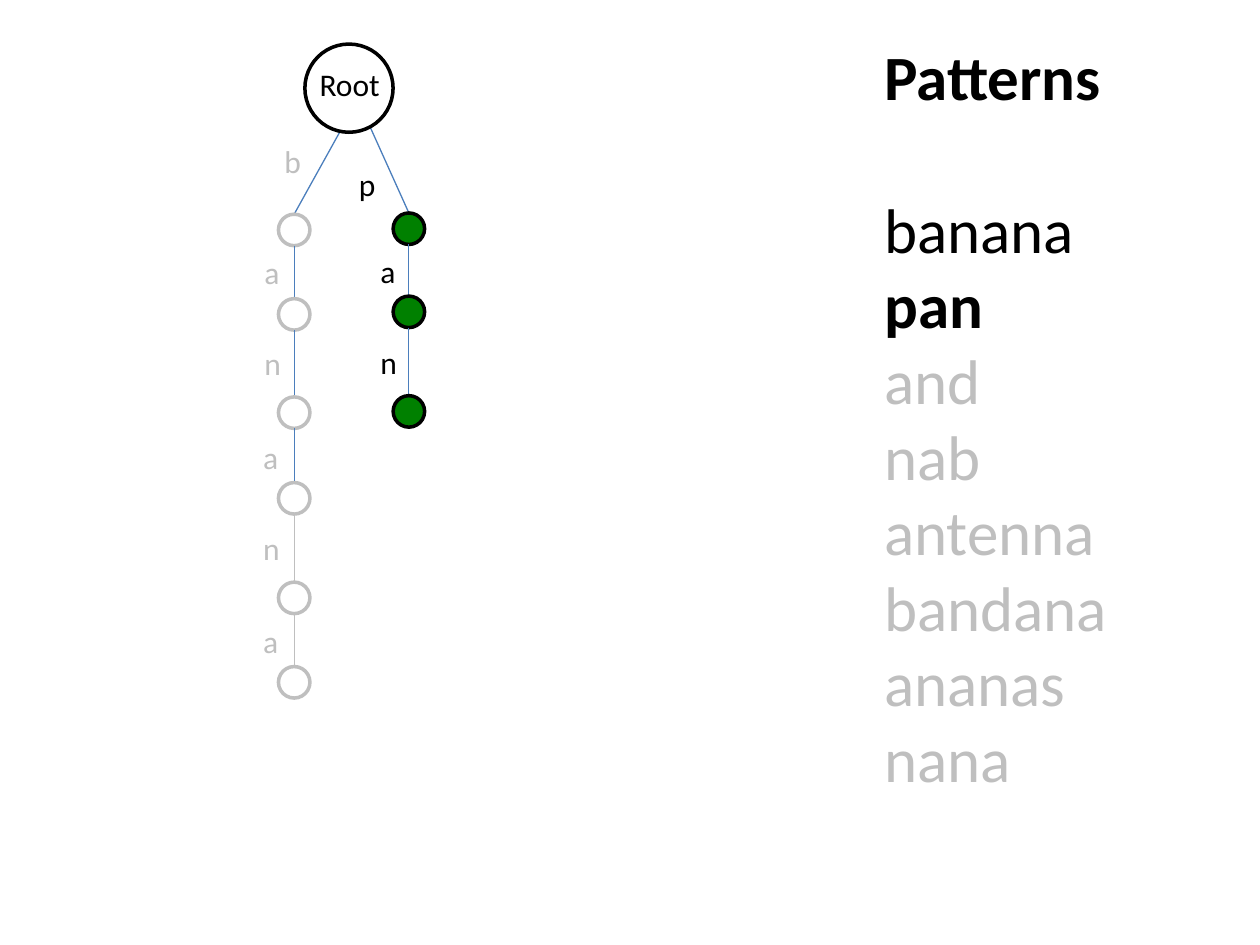
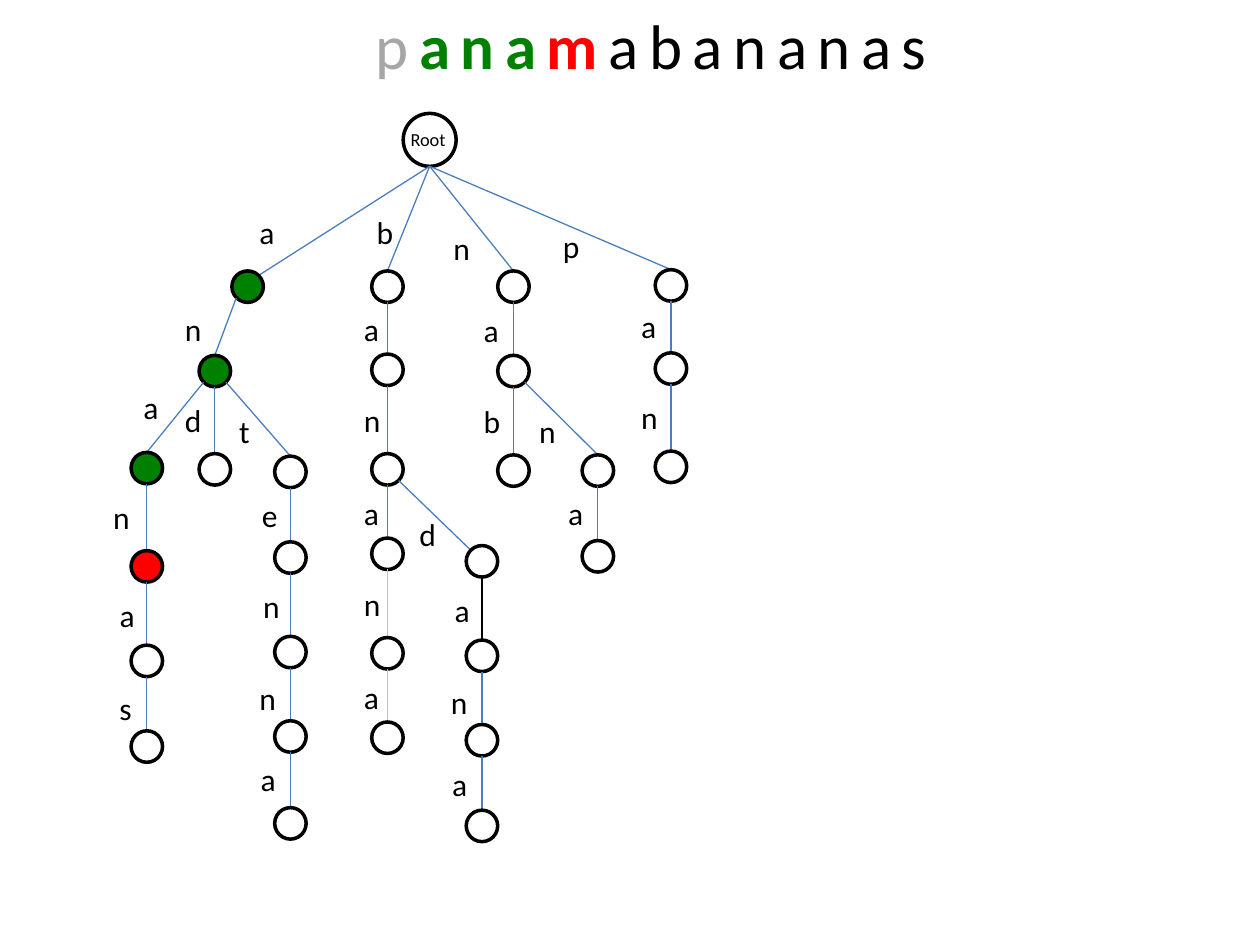
from typing import NamedTuple
from lxml.etree import SubElement
from pptx import Presentation
from pptx.dml.color import RGBColor
from pptx.enum.shapes import MSO_CONNECTOR, MSO_SHAPE
from pptx.enum.text import MSO_AUTO_SIZE, PP_ALIGN
from pptx.oxml.ns import qn
from pptx.util import Inches, Pt

FONT = "Calibri"
BLACK, WHITE, GREY, FADED = "000000", "FFFFFF", "BFBFBF", "A6A6A6"
BLUE, GREEN, RED = "4B7EBC", "008000", "FF0000"
NODE = 0.25
WIDTHS = {"a": 0.32, "e": 0.33, "s": 0.3, "t": 0.29}


class Step(NamedTuple):
    letter: str
    top: float
    label_x: float
    label_y: float
    fill: str = WHITE
    wire: str = BLUE


def tint(code):
    return RGBColor.from_string(code)


def circle(slide, x, y, size=NODE, fill=WHITE, ink=BLACK):
    shape = slide.shapes.add_shape(
        MSO_SHAPE.OVAL, Inches(x), Inches(y), Inches(size), Inches(size))
    shape.shadow.inherit = False
    shape.fill.solid()
    shape.fill.fore_color.rgb = tint(fill)
    shape.line.color.rgb = tint(ink)
    shape.line.width = Pt(2)


def edge(slide, start, end, color):
    points = [Inches(v) for v in (*start, *end)]
    line = slide.shapes.add_connector(MSO_CONNECTOR.STRAIGHT, *points)
    line.line.color.rgb = tint(color)
    line.line.width = Pt(0.75)
    SubElement(line._element.spPr, qn("a:effectLst"))


def frame(slide, x, y, width, height, wrap=True):
    box = slide.shapes.add_textbox(
        Inches(x), Inches(y), Inches(width), Inches(height))
    text = box.text_frame
    text.word_wrap = wrap
    text.auto_size = MSO_AUTO_SIZE.SHAPE_TO_FIT_TEXT
    return text


def write(para, words, size=18, color=BLACK, bold=False):
    run = para.add_run()
    run.text = words
    run.font.name = FONT
    run.font.size = Pt(size)
    run.font.bold = bold
    run.font.color.rgb = tint(color)
    return run


def corner(x, y, side, down=1):
    mid, reach = NODE / 2, 0.09
    return x + mid + side * reach, y + mid + down * reach


def branch(slide, start, x, steps, ink=BLACK, end=None):
    mid = x + NODE / 2
    for step in steps:
        edge(slide, start, end or (mid, step.top), step.wire)
        circle(slide, x, step.top, fill=step.fill, ink=ink)
        label = frame(slide, step.label_x, step.label_y,
                      WIDTHS.get(step.letter, 0.34), 0.4, wrap=False)
        write(label.paragraphs[0], step.letter, color=ink)
        start, end = (mid, step.top + NODE), None


def patterns(slide):
    branch(slide, (2.79, 0.88), 2.21, [
        Step("b", 1.7, 2.16, 1.08),
        Step("a", 2.37, 2, 1.96),
        Step("n", 3.15, 2, 2.68),
        Step("a", 3.83, 1.99, 3.43),
        Step("n", 4.62, 1.99, 4.15, wire=GREY),
        Step("a", 5.29, 1.99, 4.89, wire=GREY)], ink=GREY)
    branch(slide, (2.88, 0.88), 3.12, [
        Step("p", 1.69, 2.75, 1.26, GREEN),
        Step("a", 2.35, 2.92, 1.95, GREEN),
        Step("n", 3.14, 2.92, 2.67, GREEN)])
    circle(slide, 2.42, 0.35, 0.7)
    root = frame(slide, 2.42, 0.47, 0.71, 0.4).paragraphs[0]
    root.alignment = PP_ALIGN.CENTER
    write(root, "Root")

    text = frame(slide, 6.92, 0.25, 2.67, 6.16)
    write(text.paragraphs[0], "Patterns", 36, bold=True)
    words = ["banana", "pan", "and", "nab", "antenna", "bandana",
             "ananas", "nana"]
    for place, word in enumerate(words):
        para = text.add_paragraph()
        if place == 0:
            para.space_before = Pt(44)
        write(para, word, 36, BLACK if place < 2 else GREY, word == "pan")


def trie(slide):
    circle(slide, 3.2, 0.9, 0.42)
    write(frame(slide, 3.16, 0.97, 0.55, 0.28).paragraphs[0], "Root", 10.5)
    root = 3.41, 1.32

    branch(slide, root, 1.84, [Step("a", 2.15, 1.96, 1.64, GREEN)],
           end=corner(1.84, 2.15, 1, -1))
    branch(slide, corner(1.84, 2.15, -1), 1.58, [
        Step("n", 2.82, 1.37, 2.41, GREEN),
        Step("d", 3.6, 1.37, 3.13)])
    branch(slide, corner(1.58, 2.82, -1), 1.04, [
        Step("a", 3.59, 1.04, 3.03, GREEN),
        Step("n", 4.37, 0.8, 3.9, RED),
        Step("a", 5.12, 0.85, 4.68),
        Step("s", 5.8, 0.85, 5.42)])
    branch(slide, corner(1.58, 2.82, 1), 2.18, [
        Step("t", 3.62, 1.8, 3.22),
        Step("e", 4.3, 1.98, 3.89),
        Step("n", 5.05, 1.99, 4.61),
        Step("n", 5.72, 1.96, 5.34),
        Step("a", 6.41, 1.97, 5.98)])
    branch(slide, root, 2.95, [
        Step("b", 2.15, 2.89, 1.64),
        Step("a", 2.81, 2.79, 2.41),
        Step("n", 3.6, 2.79, 3.13),
        Step("a", 4.27, 2.79, 3.87),
        Step("n", 5.06, 2.79, 4.59, wire=GREY),
        Step("a", 5.73, 2.79, 5.33, wire=GREY)])
    branch(slide, corner(2.95, 3.6, 1), 3.7, [
        Step("d", 4.33, 3.23, 4.04),
        Step("a", 5.08, 3.51, 4.64, wire=BLACK),
        Step("n", 5.75, 3.48, 5.37),
        Step("a", 6.43, 3.49, 6.02)], end=corner(3.7, 4.33, -1, -1))
    branch(slide, root, 3.95, [
        Step("n", 2.15, 3.5, 1.77),
        Step("a", 2.82, 3.74, 2.42),
        Step("b", 3.61, 3.74, 3.14)])
    branch(slide, corner(3.95, 2.82, 1), 4.62, [
        Step("n", 3.61, 4.18, 3.22),
        Step("a", 4.29, 4.41, 3.87)])
    branch(slide, root, 5.2, [
        Step("p", 2.14, 4.37, 1.75),
        Step("a", 2.8, 4.99, 2.39),
        Step("n", 3.58, 4.99, 3.11)])

    title = frame(slide, 2.67, 0, 5, 0.71).paragraphs[0]
    title.alignment = PP_ALIGN.CENTER
    for words, color, bold in [("p", FADED, False), ("ana", GREEN, True),
                               ("m", RED, True), ("abananas", BLACK, False)]:
        run = write(title, words, 36, color, bold)
        run._r.get_or_add_rPr().set("spc", "600")


def main():
    deck = Presentation()
    deck.slide_width, deck.slide_height = Inches(10), Inches(7.5)
    for draw in (patterns, trie):
        draw(deck.slides.add_slide(deck.slide_layouts[6]))
    deck.save("out.pptx")


if __name__ == "__main__":
    main()
